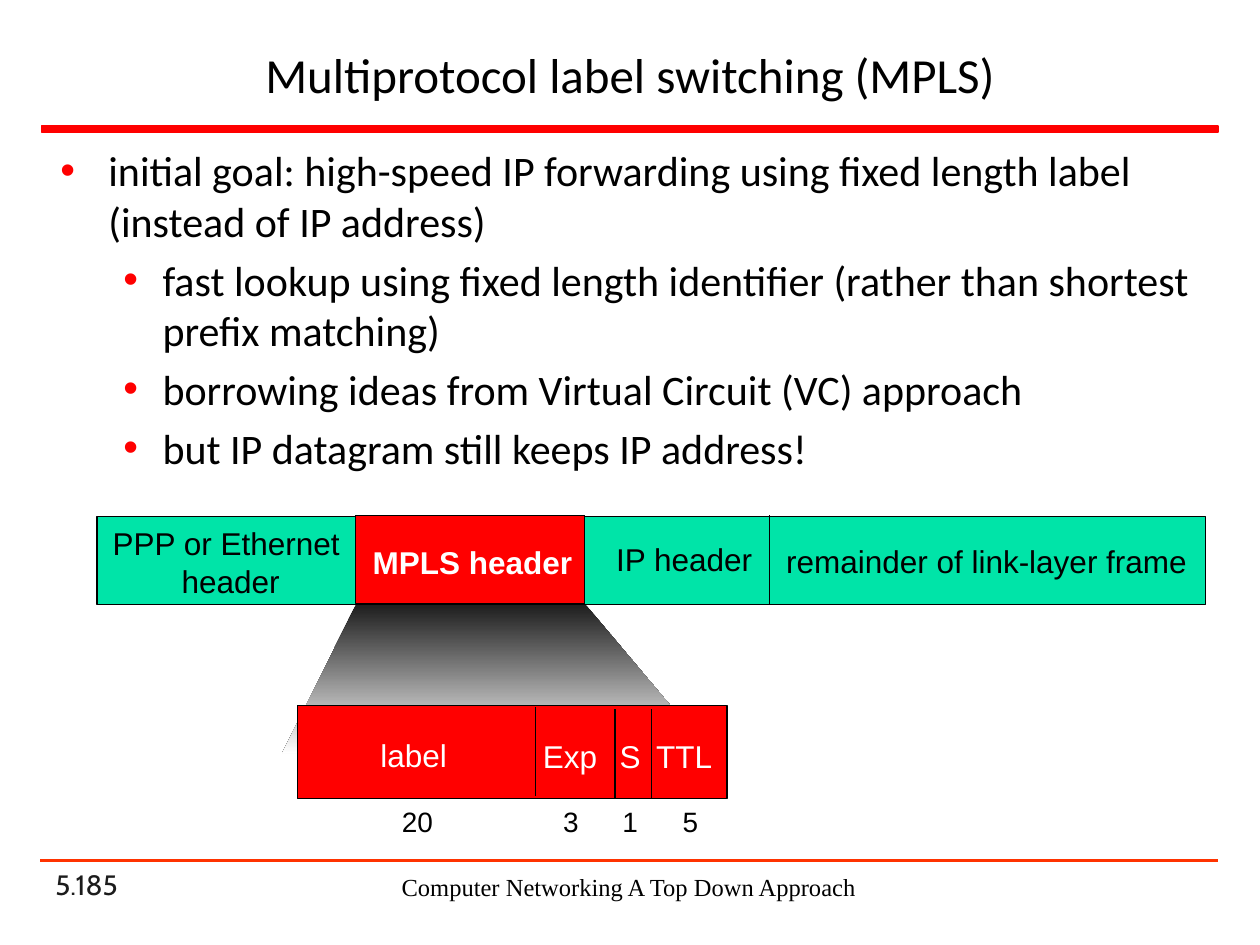
from dataclasses import dataclass

from lxml import etree
from pptx import Presentation
from pptx.dml.color import RGBColor
from pptx.enum.shapes import MSO_CONNECTOR, MSO_SHAPE
from pptx.enum.text import MSO_ANCHOR, MSO_AUTO_SIZE, PP_ALIGN
from pptx.oxml.ns import qn
from pptx.util import Pt

PX = 9144  # 100 px to the inch
RECTANGLE = MSO_SHAPE.RECTANGLE
STRAIGHT = MSO_CONNECTOR.STRAIGHT
CENTER, LEFT = PP_ALIGN.CENTER, PP_ALIGN.LEFT
TOP, MIDDLE, BOTTOM = MSO_ANCHOR.TOP, MSO_ANCHOR.MIDDLE, MSO_ANCHOR.BOTTOM
FIXED_SIZE, FIT_TEXT = MSO_AUTO_SIZE.NONE, MSO_AUTO_SIZE.SHAPE_TO_FIT_TEXT

BLACK = RGBColor(0x00, 0x00, 0x00)
WHITE = RGBColor(0xFF, 0xFF, 0xFF)
CHARCOAL = RGBColor(0x1C, 0x1C, 0x1C)
RED = RGBColor(0xFF, 0x00, 0x00)
ORANGE = RGBColor(0xFF, 0x33, 0x00)
GREEN = RGBColor(0x00, 0xE4, 0xA8)


@dataclass(frozen=True)
class Box:
    left: int
    top: int
    width: int
    height: int

    def emu(self) -> tuple[int, ...]:
        return tuple(PX * v for v in (self.left, self.top, self.width, self.height))


@dataclass(frozen=True)
class Caption:
    lines: tuple[str, ...]
    box: Box
    size: int = 18
    color: RGBColor = BLACK
    font: str = "Arial"
    bold: bool = False
    align: PP_ALIGN = CENTER
    anchor: MSO_ANCHOR = TOP
    fill: RGBColor | None = None
    grows: bool = True


@dataclass(frozen=True)
class Bar:
    box: Box
    fill: RGBColor
    outline: RGBColor = BLACK
    weight: float = 0.75


@dataclass(frozen=True)
class Rule:
    start: tuple[int, int]
    end: tuple[int, int]
    color: RGBColor = BLACK
    weight: float = 0.75


@dataclass(frozen=True)
class Bullet:
    text: str
    level: int


TITLE = "Multiprotocol label switching (MPLS)"
BULLET_INDENTS = ((38, 38), (81, 31))  # text indent and hang, by level
BULLETS = (
    Bullet("initial goal: high-speed IP forwarding using fixed length label "
           "(instead of IP address)", 0),
    Bullet("fast lookup using fixed length identifier (rather than shortest "
           "prefix matching)", 1),
    Bullet("borrowing ideas from Virtual Circuit (VC) approach", 1),
    Bullet("but IP datagram still keeps IP address!", 1),
)

TITLE_BAR = Bar(Box(33, 100, 934, 5), RED, RED, 1)
FRAME = Bar(Box(77, 410, 880, 70), GREEN)
MPLS_HEADER = Bar(Box(282, 409, 182, 70), RED)
MPLS_FIELDS = Bar(Box(236, 560, 341, 74), RED)
ZOOM_OUTLINE = ((283, 479), (224, 598), (564, 598), (464, 479))

FOOTER_RULE = Rule((32, 683), (967, 683), ORANGE, 1.5)
FRAME_DIVIDERS = tuple(Rule((x, 409), (x, 480)) for x in (283, 464, 611))
FIELD_DIVIDERS = tuple(Rule((x, y), (x, y + 71))
                       for x, y in ((425, 561), (488, 563), (517, 563)))

FOOTERS = (
    Caption(("5.185",), Box(34, 698, 208, 22), 16, CHARCOAL, "Cabin",
            align=LEFT, anchor=BOTTOM, grows=False),
    Caption(("Computer Networking A Top Down Approach",),
            Box(295, 687, 408, 34), 14, font="Times New Roman", grows=False),
)
FRAME_CAPTIONS = (
    Caption(("PPP or Ethernet ", "header"), Box(79, 411, 208, 70)),
    Caption(("IP header",), Box(479, 424, 128, 40)),
    Caption(("remainder of link-layer frame",), Box(614, 425, 338, 40), align=LEFT),
)
MPLS_CAPTION = Caption(("MPLS header",), Box(280, 426, 190, 40),
                       color=WHITE, bold=True)
FIELD_CAPTIONS = tuple(
    Caption((name,), Box(left, top, width, 40), color=WHITE, align=LEFT, fill=RED)
    for name, left, top, width in (
        ("label", 292, 579, 73), ("Exp", 421, 580, 63),
        ("S", 482, 580, 37), ("TTL", 511, 580, 65)))
BIT_COUNTS = tuple(
    Caption((bits,), Box(left, 634, width, 37), 16, align=LEFT)
    for bits, left, width in (
        ("20", 309, 45), ("3", 437, 32), ("1", 484, 32), ("5", 532, 32)))


def style_paragraph(paragraph, font: str, size: int, color: RGBColor,
                    bold: bool = False) -> None:
    paragraph.font.name = font
    paragraph.font.size = Pt(size)
    paragraph.font.color.rgb = color
    paragraph.font.bold = bold


def place(shape, box: Box) -> None:
    shape.left, shape.top, shape.width, shape.height = box.emu()


def fill_title(title) -> None:
    place(title, Box(33, 24, 934, 70))
    frame = title.text_frame
    frame.text = TITLE
    frame.auto_size = FIXED_SIZE
    frame.vertical_anchor = MIDDLE
    frame.paragraphs[0].alignment = CENTER
    style_paragraph(frame.paragraphs[0], "Calibri", 28, BLACK)


def add_bullet_mark(paragraph, level: int) -> None:
    indent, hang = BULLET_INDENTS[level]
    properties = paragraph._p.get_or_add_pPr()
    properties.set("marL", str(indent * PX))
    properties.set("indent", str(-hang * PX))
    mark_color = etree.SubElement(properties, qn("a:buClr"))
    etree.SubElement(mark_color, qn("a:srgbClr")).set("val", str(RED))
    etree.SubElement(properties, qn("a:buFont")).set("typeface", "Arial")
    etree.SubElement(properties, qn("a:buChar")).set("char", "•")


def fill_body(body) -> None:
    place(body, Box(38, 110, 919, 275))
    frame = body.text_frame
    frame.text = "\n".join(bullet.text for bullet in BULLETS)
    frame.auto_size = FIXED_SIZE
    for index, (paragraph, bullet) in enumerate(zip(frame.paragraphs, BULLETS)):
        paragraph.level = bullet.level
        add_bullet_mark(paragraph, bullet.level)
        paragraph.space_before = Pt(4.8 if index else 0)
        style_paragraph(paragraph, "Calibri", 24, BLACK)


def draw_bar(shapes, bar: Bar) -> None:
    shape = shapes.add_shape(RECTANGLE, *bar.box.emu())
    shape.shadow.inherit = False
    shape.fill.solid()
    shape.fill.fore_color.rgb = bar.fill
    shape.line.color.rgb = bar.outline
    shape.line.width = Pt(bar.weight)


def draw_rules(shapes, *rules: Rule) -> None:
    for rule in rules:
        line = shapes.add_connector(STRAIGHT, *(PX * v for v in rule.start + rule.end))
        line.line.color.rgb = rule.color
        line.line.width = Pt(rule.weight)
        etree.SubElement(line._element.spPr, qn("a:effectLst"))


def draw_captions(shapes, *captions: Caption) -> None:
    for caption in captions:
        text_box = shapes.add_textbox(*caption.box.emu())
        if caption.fill is not None:
            text_box.fill.solid()
            text_box.fill.fore_color.rgb = caption.fill
        frame = text_box.text_frame
        frame.text = "\n".join(caption.lines)
        frame.word_wrap = not caption.grows
        frame.auto_size = FIT_TEXT if caption.grows else FIXED_SIZE
        frame.vertical_anchor = caption.anchor
        for paragraph in frame.paragraphs:
            paragraph.alignment = caption.align
            style_paragraph(paragraph, caption.font, caption.size,
                            caption.color, caption.bold)


def draw_zoom(shapes) -> None:
    """Draw the shaded wedge that opens the MPLS header into its fields."""
    builder = shapes.build_freeform(*ZOOM_OUTLINE[0], scale=PX)
    builder.add_line_segments(ZOOM_OUTLINE[1:], close=True)
    wedge = builder.convert_to_shape()
    wedge.shadow.inherit = False
    wedge.line.fill.background()
    wedge.fill.gradient()
    wedge.fill.gradient_angle = 270
    for stop, position, color in zip(wedge.fill.gradient_stops, (0, 1), (CHARCOAL, WHITE)):
        stop.position = position
        stop.color.rgb = color


def main() -> None:
    presentation = Presentation()
    presentation.slide_width, presentation.slide_height = 1000 * PX, 750 * PX
    slide = presentation.slides.add_slide(presentation.slide_layouts[1])
    shapes = slide.shapes
    fill_title(shapes.title)
    fill_body(slide.placeholders[1])
    draw_bar(shapes, TITLE_BAR)
    draw_rules(shapes, FOOTER_RULE)
    draw_captions(shapes, *FOOTERS)
    draw_zoom(shapes)
    draw_bar(shapes, FRAME)
    draw_captions(shapes, *FRAME_CAPTIONS)
    draw_rules(shapes, *FRAME_DIVIDERS)
    draw_bar(shapes, MPLS_HEADER)
    draw_captions(shapes, MPLS_CAPTION)
    draw_bar(shapes, MPLS_FIELDS)
    draw_captions(shapes, *FIELD_CAPTIONS)
    draw_rules(shapes, *FIELD_DIVIDERS)
    draw_captions(shapes, *BIT_COUNTS)
    presentation.save("out.pptx")


if __name__ == "__main__":
    main()
